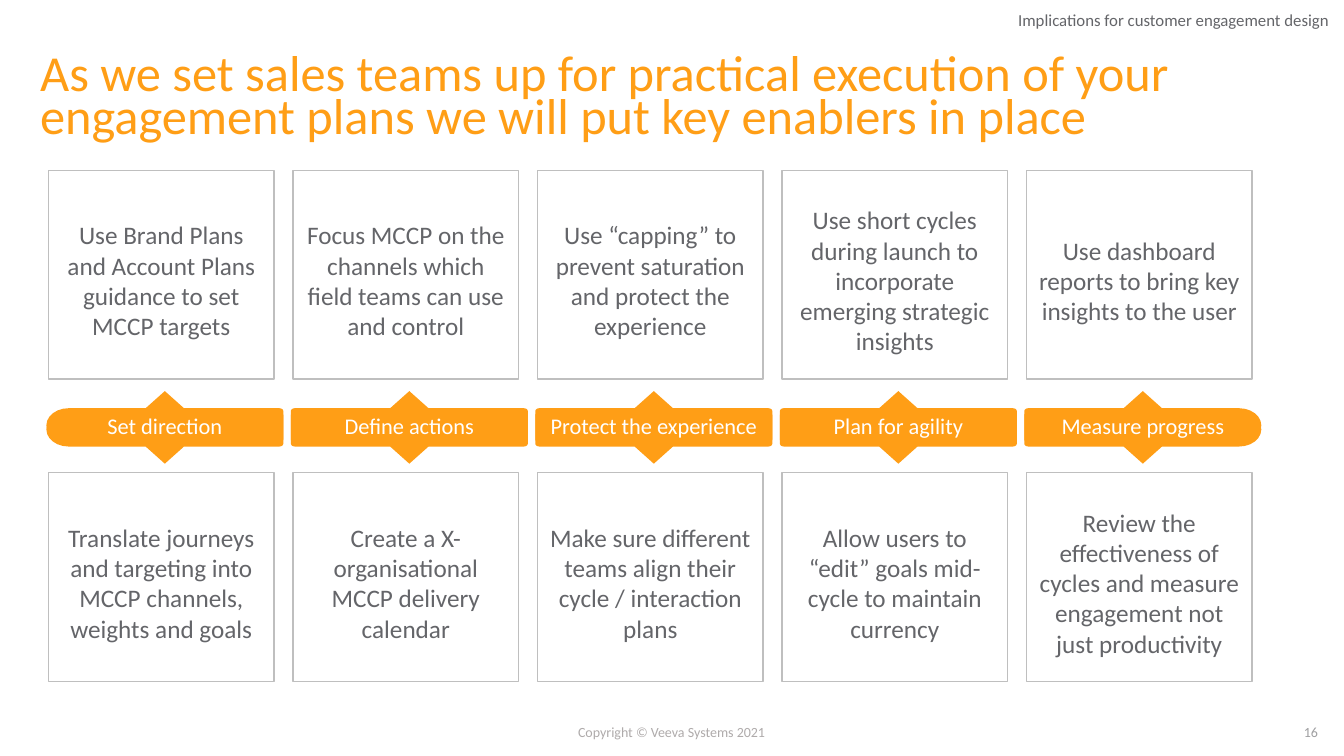
from math import cos, sin, radians
from pptx import Presentation
from pptx.dml.color import RGBColor as Rgb
from pptx.enum.shapes import MSO_SHAPE as Kind
from pptx.enum.text import MSO_ANCHOR as Anchor, PP_ALIGN as Align
from pptx.util import Inches, Pt

HUE = {"orange": "FF9E16", "text": "646569", "edge": "BFBFBF",
       "white": "FFFFFF", "page": "9F9FA1", "note": "AFABAB"}
FONT = "Calibri"

# Label, upper box, lower box
STEPS = [
    ("Set direction",
     "Use Brand Plans and Account Plans guidance to set MCCP targets",
     "Translate journeys and targeting into MCCP channels, weights and goals"),
    ("Define actions",
     "Focus MCCP on the channels which field teams can use and control",
     "Create a X-organisational MCCP delivery calendar"),
    ("Protect the experience",
     "Use “capping” to prevent saturation and protect the experience",
     "Make sure different teams align their cycle / interaction plans"),
    ("Plan for agility",
     "Use short cycles during launch to incorporate emerging strategic insights",
     "Allow users to “edit” goals mid-cycle to maintain currency"),
    ("Measure progress",
     "Use dashboard reports to bring key insights to the user",
     "Review the effectiveness of cycles and measure engagement not just productivity"),
]
LEFT, PITCH = 0.46, 9.7 / 4
BAND_W, BAND_H = 2.35, 0.51
BOX_W, BOX_H = 2.24, 2.07


def color(name):
    return Rgb.from_string(HUE[name])


def write(shape, words, size, hue, align=Align.LEFT, space=None):
    frame = shape.text_frame
    frame.text = words
    para = frame.paragraphs[0]
    para.alignment = align
    if space:
        para.line_spacing = space
    font = para.runs[0].font
    font.name, font.size = FONT, Pt(size)
    font.color.rgb = color(hue)


def add_text(slide, box, words, size, hue, align=Align.LEFT, space=None,
             wrap=True, anchor=Anchor.TOP):
    shape = slide.shapes.add_textbox(*map(Inches, box))
    shape.text_frame.word_wrap = wrap
    shape.text_frame.vertical_anchor = anchor
    write(shape, words, size, hue, align, space)


def add_box(slide, left, top, words):
    shape = slide.shapes.add_shape(
        Kind.RECTANGLE, *map(Inches, (left, top, BOX_W, BOX_H)))
    shape.shadow.inherit = False
    shape.fill.solid()
    shape.fill.fore_color.rgb = color("white")
    shape.line.color.rgb = color("edge")
    shape.line.width = Pt(1)
    frame = shape.text_frame
    frame.word_wrap = True
    frame.vertical_anchor = Anchor.MIDDLE
    frame.margin_top = Inches(0.16)
    write(shape, words, 18, "text", Align.CENTER)


def corner(x, y, rx, ry, start):
    """Points of a quarter ellipse around (x, y), clockwise."""
    turns = [radians(start + 15 * i) for i in range(7)]
    return [(x + rx * cos(t), y + ry * sin(t)) for t in turns]


def add_band(slide, left, top, first, last, down):
    """Rounded bar with a pointer on its upper or lower side."""
    small, large = (0.04, 0.03), (0.22, 0.17)
    lx, ly = large if first else small
    rx, ry = large if last else small
    body, mid, tip = 0.17, BAND_W / 2, 0.19
    dots = (corner(lx, body + ly, lx, ly, 180)
            + [(mid - tip, body), (mid, 0), (mid + tip, body)]
            + corner(BAND_W - rx, body + ry, rx, ry, 270)
            + corner(BAND_W - rx, BAND_H - ry, rx, ry, 0)
            + corner(lx, BAND_H - ly, lx, ly, 90))
    dots = [(Inches(left + x), Inches(top + (BAND_H - y if down else y)))
            for x, y in dots]
    path = slide.shapes.build_freeform(*dots[0])
    path.add_line_segments(dots[1:], close=True)
    shape = path.convert_to_shape()
    shape.shadow.inherit = False
    shape.fill.solid()
    shape.fill.fore_color.rgb = color("orange")
    shape.line.fill.background()


def add_step(slide, index, left):
    label, upper, lower = STEPS[index]
    first, last = index == 0, index == len(STEPS) - 1
    # Two halves make the band with pointers up and down
    add_band(slide, left, 4.09, first, last, True)
    add_band(slide, left, 3.88, first, last, False)
    add_text(slide, (left, 4.09, BAND_W, 0.32), label, 16, "white",
             Align.CENTER, 0.8)
    # Boxes above and below
    add_box(slide, left + 0.02, 1.69, upper)
    add_box(slide, left + 0.02, 4.69, lower)


def add_frame(slide):
    # Header and title
    add_text(slide, (10, 0.05, 3.34, 0.13),
             "Implications for customer engagement design", 12, "text")
    add_text(slide, (0.3, 0.46, 12.73, 1.07),
             "As we set sales teams up for practical execution of your "
             "engagement plans we will put key enablers in place",
             36, "orange", space=0.7, anchor=Anchor.MIDDLE)
    # Footer
    add_text(slide, (5.62, 7.13, 2.08, 0.27), "Copyright © Veeva Systems 2021",
             10, "note", Align.CENTER, wrap=False)
    add_text(slide, (12.05, 7.13, 1.12, 0.27), "16", 10, "page", Align.RIGHT)


def main():
    deck = Presentation()
    deck.slide_width, deck.slide_height = Inches(13.33), Inches(7.5)
    slide = deck.slides.add_slide(deck.slide_layouts[6])
    add_frame(slide)
    for index in range(len(STEPS)):
        add_step(slide, index, LEFT + index * PITCH)
    deck.save("out.pptx")


if __name__ == "__main__":
    main()
